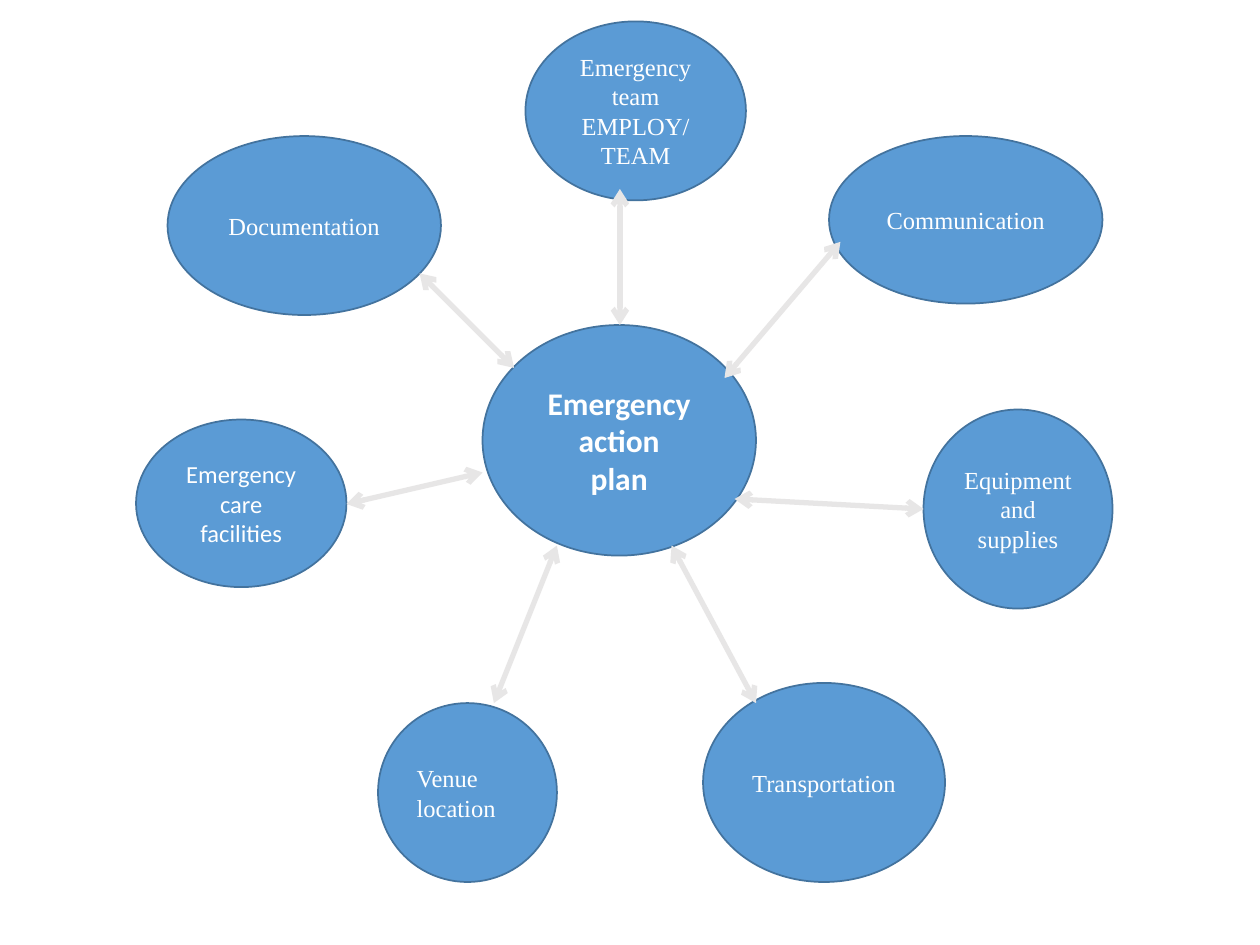
"""Build a hub-and-spoke slide of the parts of an emergency action plan."""
from lxml import etree
from pptx import Presentation
from pptx.dml.color import RGBColor
from pptx.enum import shapes, text
from pptx.oxml import ns
from pptx.util import Inches, Pt

BLUE = RGBColor(0x5B, 0x9B, 0xD5)
DARK_BLUE = RGBColor(0x43, 0x73, 0x9E)
WHITE = RGBColor(0xFF, 0xFF, 0xFF)
GREY = RGBColor(0xE7, 0xE6, 0xE6)
SERIF, SANS = "Times New Roman", "Calibri"
CENTER, LEFT = text.PP_ALIGN.CENTER, text.PP_ALIGN.LEFT

HUB = (["Emergency", "action", "plan"], (3.83, 2.58, 2.17, 1.83))
TOPICS = [
    (["Documentation"], (1.33, 1.08, 2.17, 1.42), SERIF, CENTER),
    (["Emergency", "team", "EMPLOY/", "TEAM"], (4.17, 0.17, 1.75, 1.42), SERIF, CENTER),
    (["Communication"], (6.58, 1.08, 2.17, 1.33), SERIF, CENTER),
    (["Emergency", "care", "facilities"], (1.08, 3.33, 1.67, 1.33), SANS, CENTER),
    (["Venue", "location"], (3, 5.58, 1.42, 1.42), SERIF, LEFT),
    (["Equipment", "and", "supplies"], (7.33, 3.25, 1.5, 1.58), SERIF, CENTER),
    (["Transportation"], (5.58, 5.42, 1.92, 1.58), SERIF, CENTER),
]
ARROWS = [
    (4.92, 1.5, 4.92, 2.58),
    (3.33, 2.17, 4.08, 2.92),
    (2.75, 4, 3.83, 3.75),
    (6.67, 1.92, 5.75, 3),
    (7.33, 4.04, 5.83, 3.96),
    (4.42, 4.33, 3.92, 5.58),
    (5.33, 4.33, 6, 5.58),
]


def add_ellipse(slide, lines, box, font_name, alignment, size=14, bold=False):
    """Add a blue ellipse with one paragraph for each line."""
    shape = slide.shapes.add_shape(shapes.MSO_SHAPE.OVAL, *map(Inches, box))
    shape.shadow.inherit = False
    shape.fill.solid()
    shape.fill.fore_color.rgb = BLUE
    shape.line.color.rgb = DARK_BLUE
    shape.line.width = Pt(1)
    frame = shape.text_frame
    frame.word_wrap = True
    frame.vertical_anchor = text.MSO_ANCHOR.MIDDLE
    frame.text = "\n".join(lines)
    for paragraph in frame.paragraphs:
        paragraph.alignment = alignment
        font = paragraph.font
        font.name, font.size, font.bold = font_name, Pt(size), bold
        font.color.rgb = WHITE


def add_double_arrow(slide, ends):
    """Add a grey line with an open arrowhead at both ends."""
    connector = slide.shapes.add_connector(
        shapes.MSO_CONNECTOR.STRAIGHT, *map(Inches, ends))
    connector.line.color.rgb = GREY
    connector.line.width = Pt(3)
    line = connector.line._get_or_add_ln()
    for tag in ("a:headEnd", "a:tailEnd"):
        etree.SubElement(line, ns.qn(tag), type="arrow")
    etree.SubElement(connector._element.spPr, ns.qn("a:effectLst"))


def main():
    """Draw the hub, its topics and the arrows, then save."""
    presentation = Presentation()
    presentation.slide_width, presentation.slide_height = Inches(10), Inches(7.5)
    slide = presentation.slides.add_slide(presentation.slide_layouts[6])
    add_ellipse(slide, *HUB, SANS, CENTER, size=18, bold=True)
    for topic in TOPICS:
        add_ellipse(slide, *topic)
    for ends in ARROWS:
        add_double_arrow(slide, ends)
    presentation.save("out.pptx")


if __name__ == "__main__":
    main()
